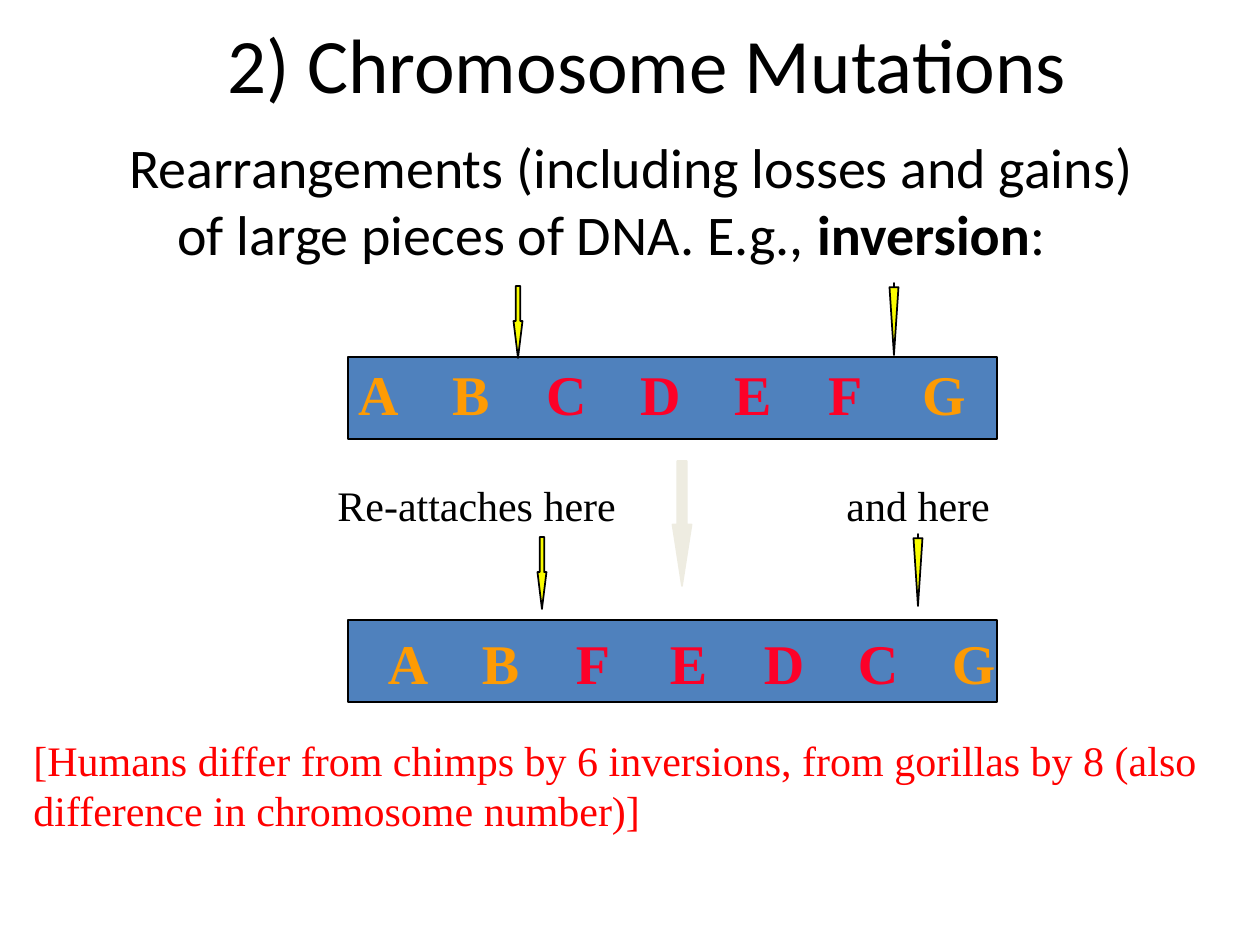
import pptx
import pptx.dml.color
import pptx.enum.shapes
import pptx.enum.text
import pptx.oxml.ns
import pptx.util
from lxml import etree

RGB = pptx.dml.color.RGBColor
BLACK = RGB(0x00, 0x00, 0x00)
BLUE = RGB(0x4F, 0x81, 0xBD)
BEIGE = RGB(0xEE, 0xEC, 0xE1)
YELLOW = RGB(0xFA, 0xFD, 0x00)
ORANGE = RGB(0xFE, 0x9B, 0x03)
CRIMSON = RGB(0xFC, 0x01, 0x28)
RED = RGB(0xFF, 0x00, 0x00)

SANS, SERIF = "Calibri", "Times New Roman"
ALIGN = pptx.enum.text.PP_ALIGN
ANCHOR = pptx.enum.text.MSO_ANCHOR
SHAPE = pptx.enum.shapes.MSO_SHAPE
PX_PER_INCH = 126


def px(n):
    return pptx.util.Emu(round(n * 914400 / PX_PER_INCH))


class Deck:
    """Holds the presentation, the current slide and its style."""

    def __init__(self, width, height):
        self.prs = pptx.Presentation()
        self.prs.slide_width, self.prs.slide_height = px(width), px(height)
        self.s = self.prs.slides.add_slide(self.prs.slide_layouts[6])

    def add_runs(self, tf, runs, font, size, align=ALIGN.LEFT, tabs=(), hang=0):
        """Fill a frame's first paragraph with (text, colour, bold) runs."""
        tf.word_wrap = True
        p = tf.paragraphs[0]
        p.alignment = align
        pPr = p._p.get_or_add_pPr()
        if hang:
            pPr.set("marL", str(px(hang)))
            pPr.set("indent", str(-px(hang)))
        if tabs:
            qn = pptx.oxml.ns.qn
            tab_list = etree.SubElement(pPr, qn("a:tabLst"))
            for pos in tabs:
                etree.SubElement(tab_list, qn("a:tab"), pos=str(px(pos)), algn="l")
        for text, color, bold in runs:
            r = p.add_run()
            r.text = text
            r.font.name, r.font.size = font, pptx.util.Pt(size)
            r.font.bold, r.font.color.rgb = bold, color

    def text(self, x, y, w, h, runs, font, size, anchor=ANCHOR.TOP, **style):
        sp = self.s.shapes.add_textbox(px(x), px(y), px(w), px(h))
        sp.text_frame.vertical_anchor = anchor
        self.add_runs(sp.text_frame, runs, font, size, **style)

    def shape(self, kind, x, y, w, h, fill, line):
        sp = self.s.shapes.add_shape(kind, px(x), px(y), px(w), px(h))
        sp.shadow.inherit = False
        sp.fill.solid()
        sp.fill.fore_color.rgb = fill
        sp.line.color.rgb = line
        sp.line.width = pptx.util.Pt(1)
        return sp

    def arrow(self, center, y, w, h, shaft, head, fill=YELLOW, line=BLACK):
        """Down arrow; shaft and head are relative to its width."""
        sp = self.shape(SHAPE.DOWN_ARROW, center - w / 2, y, w, h, fill, line)
        sp.adjustments[0], sp.adjustments[1] = shaft, head

    def chromosome(self, y, genes, inset_x, inset_y, pitch=94):
        """Bar of evenly spaced genes, the invertible ones in crimson."""
        sp = self.shape(SHAPE.RECTANGLE, 348, y, 649, 82, BLUE, BLACK)
        tf = sp.text_frame
        tf.vertical_anchor = ANCHOR.TOP
        tf.margin_left, tf.margin_top = px(inset_x), px(inset_y)
        tf.margin_right = tf.margin_bottom = 0
        runs = [("\t" * (i > 0) + gene, CRIMSON if gene in "CDEF" else ORANGE, True)
                for i, gene in enumerate(genes)]
        self.add_runs(tf, runs, SERIF, 32,
                      tabs=[pitch * i for i in range(1, len(genes))])


def main():
    deck = Deck(1260, 945)
    deck.text(116, 10, 1063, 105, [("2) Chromosome Mutations", BLACK, False)],
              SANS, 44, anchor=ANCHOR.MIDDLE, align=ALIGN.CENTER)
    deck.text(117, 126, 1074, 305, [
        ("Rearrangements (including losses and gains) of large pieces of DNA. E.g., ",
         BLACK, False),
        ("inversion", BLACK, True),
        (":", BLACK, False)], SANS, 32, hang=48)

    deck.chromosome(357, "ABCDEFG", 10, 3)
    deck.chromosome(620, "ABFEDCG", 40, 9)

    deck.arrow(682, 461, 19, 125, 0.5, 3.23, BEIGE, BEIGE)
    for left, top in ((518, 286), (542, 537)):
        deck.arrow(left, top, 9, 72, 0.5, 4.1)
        deck.arrow(left + 376, top - 3, 9, 72, 0, 7.55)

    deck.text(325, 473, 788, 63, [("Re-attaches here\tand here", BLACK, False)],
              SERIF, 24, tabs=[509])
    deck.text(21, 728, 1239, 115, [
        ("[Humans differ from chimps by 6 inversions, from gorillas by 8 "
         "(also difference in chromosome number)]", RED, False)], SERIF, 24)
    deck.prs.save("out.pptx")


if __name__ == "__main__":
    main()
